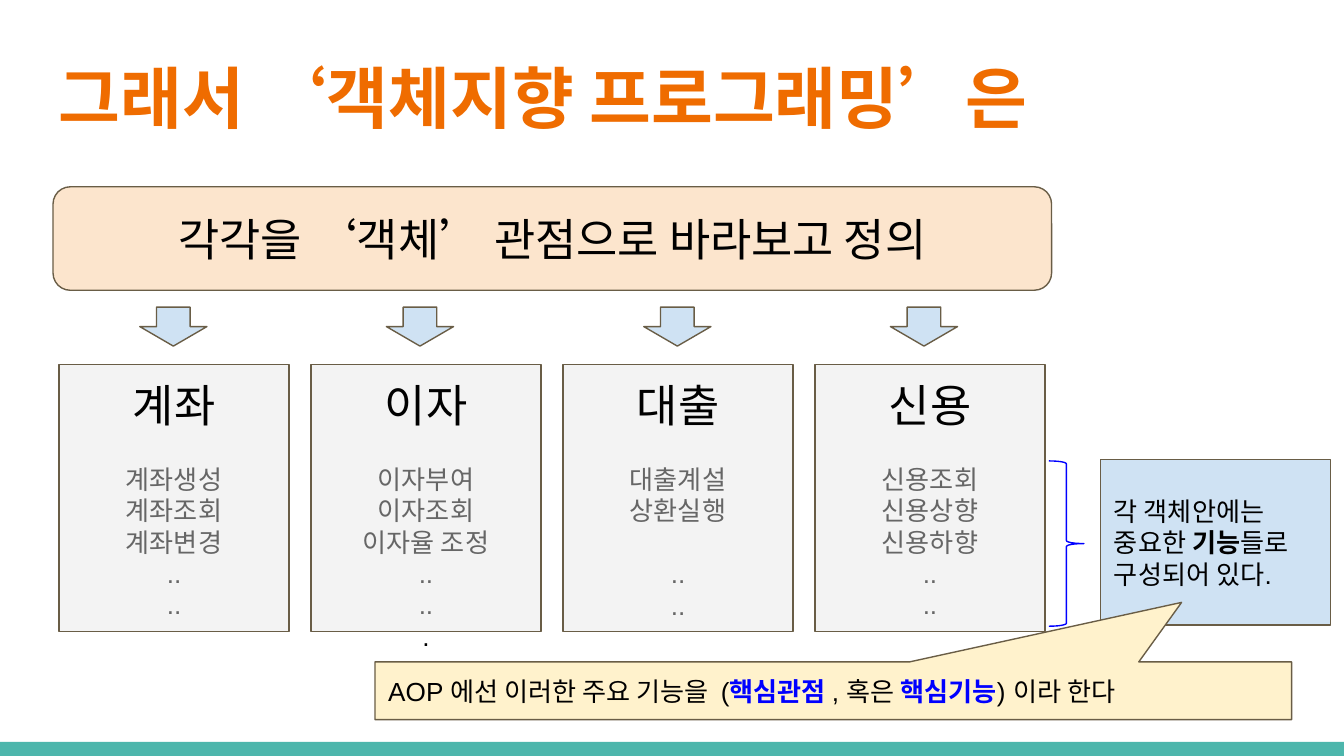
from pptx import Presentation
from pptx.dml.color import RGBColor
from pptx.enum.shapes import MSO_SHAPE
from pptx.enum.text import MSO_ANCHOR, PP_ALIGN
from pptx.util import Pt

PX = 4572
ORANGE = RGBColor(0xEF, 0x6C, 0x00)
TEAL = RGBColor(0x4D, 0xB6, 0xAC)
PEACH = RGBColor(0xFC, 0xE5, 0xCD)
PALE_BLUE = RGBColor(0xCF, 0xE2, 0xF3)
PALE_GRAY = RGBColor(0xF3, 0xF3, 0xF3)
CREAM = RGBColor(0xFF, 0xF2, 0xCC)
BROWN = RGBColor(0x69, 0x5D, 0x46)
GRAY = RGBColor(0x66, 0x66, 0x66)
BLUE = RGBColor(0x00, 0x00, 0xFF)
BLACK = RGBColor(0x00, 0x00, 0x00)

TITLE = {"name": "Roboto Condensed", "size": Pt(36), "bold": True}
HEADING = {"name": "Arial", "size": Pt(24), "bold": False}
BODY = {"name": "Arial", "size": Pt(14), "bold": False}
STRONG = {**BODY, "bold": True}
BLANK_LINE = Pt(17)

CARDS = [
    ("계좌", ["계좌생성", "계좌조회", "계좌변경"], ""),
    ("이자", ["이자부여", "이자조회", "이자율 조정"], "."),
    ("대출", ["대출계설", "상환실행"], ""),
    ("신용", ["신용조회", "신용상향", "신용하향"], ""),
]
ARROW_OFFSETS = [120, 487, 870, 1237]


def emu(box):
    return [length * PX for length in box]


def add_shape(page, kind, box, fill=None, line=BROWN, adjustments=()):
    shape = page.shapes.add_shape(kind, *emu(box))
    shape.shadow.inherit = False
    for index, value in enumerate(adjustments):
        shape.adjustments[index] = value
    if fill is None:
        shape.fill.background()
    else:
        shape.fill.solid()
        shape.fill.fore_color.rgb = fill
    if line is None:
        shape.line.fill.background()
    else:
        shape.line.color.rgb = line
        shape.line.width = Pt(0.75)
    return shape


def write(shape, paras, align=PP_ALIGN.LEFT, anchor=MSO_ANCHOR.MIDDLE):
    frame = shape.text_frame
    layout = {"word_wrap": True, "vertical_anchor": anchor}
    layout.update(dict.fromkeys(
        ["margin_left", "margin_top", "margin_right", "margin_bottom"], 20 * PX))
    for name, value in layout.items():
        setattr(frame, name, value)
    for index, (space, spans) in enumerate(paras):
        para = frame.add_paragraph() if index else frame.paragraphs[0]
        para.alignment = align
        para.space_before = space
        for text, style, color in spans:
            span = para.add_run()
            span.text = text
            for name, value in style.items():
                setattr(span.font, name, value)
            span.font.color.rgb = color


def add_title(page, box):
    title = page.shapes.add_textbox(*emu(box))
    write(title, [(Pt(0), [("그래서 ‘객체지향 프로그래밍’은", TITLE, ORANGE)])],
          anchor=MSO_ANCHOR.TOP)


def add_banner(page, box):
    banner = add_shape(page, MSO_SHAPE.ROUNDED_RECTANGLE, box, PEACH)
    write(banner, [(Pt(0), [("각각을 ‘객체’ 관점으로 바라보고 정의", HEADING, BLACK)])],
          PP_ALIGN.CENTER)


def add_card(page, box, heading, features, ending):
    paras = [(Pt(0), [(heading, HEADING, BLACK)])]
    for index, feature in enumerate(features):
        space = Pt(0) if index else BLANK_LINE
        paras.append((space, [(feature, BODY, GRAY)]))
    paras.append((BLANK_LINE * (3 - len(features)), [("..", BODY, GRAY)]))
    paras.append((Pt(0), [("..", BODY, GRAY)]))
    if ending:
        paras.append((Pt(0), [(ending, BODY, BLACK)]))
    card = add_shape(page, MSO_SHAPE.RECTANGLE, box, PALE_GRAY)
    write(card, paras, PP_ALIGN.CENTER, MSO_ANCHOR.TOP)


def add_objects(page, box):
    left, top, width, height = box
    card_width = 342
    pitch = (width - card_width) // (len(CARDS) - 1)
    for index, card in enumerate(CARDS):
        add_card(page, (left + index * pitch, top, card_width, height), *card)
    for offset in ARROW_OFFSETS:
        add_shape(page, MSO_SHAPE.DOWN_ARROW, (left + offset, top - 85, 100, 58), PALE_BLUE)


def add_explanation(page, box):
    left, top, width, height = box
    add_shape(page, MSO_SHAPE.RIGHT_BRACE, (left, top + 2, 52, height), line=BLUE)
    note = add_shape(page, MSO_SHAPE.RECTANGLE,
                     (left + 77, top, width - 77, height), PALE_BLUE)
    write(note, [(Pt(0), [
        ("각 객체안에는 중요한 ", BODY, BLACK),
        ("기능", STRONG, BLACK),
        ("들로 구성되어 있다.", BODY, BLACK),
    ])])


def add_callout(page, box):
    callout = add_shape(page, MSO_SHAPE.ROUNDED_RECTANGULAR_CALLOUT, box, CREAM,
                        adjustments=(0.38, -1.53, 0))
    write(callout, [(Pt(0), [
        ("AOP 에선 이러한 주요 기능을  (", BODY, BLACK),
        ("핵심관점", STRONG, BLUE),
        (" , 혹은 ", BODY, BLACK),
        ("핵심기능", STRONG, BLUE),
        (") 이라 한다", BODY, BLACK),
    ])])


def main():
    deck = Presentation()
    deck.slide_width, deck.slide_height = emu((2000, 1125))
    page = deck.slides.add_slide(deck.slide_layouts[6])
    add_shape(page, MSO_SHAPE.RECTANGLE, (0, 1104, 2000, 21), TEAL, None)
    add_title(page, (68, 64, 1864, 154))
    add_objects(page, (88, 542, 1467, 398))
    add_banner(page, (79, 278, 1486, 154))
    add_explanation(page, (1561, 684, 419, 246))
    add_callout(page, (558, 985, 1364, 86))
    deck.save("out.pptx")


if __name__ == "__main__":
    main()
